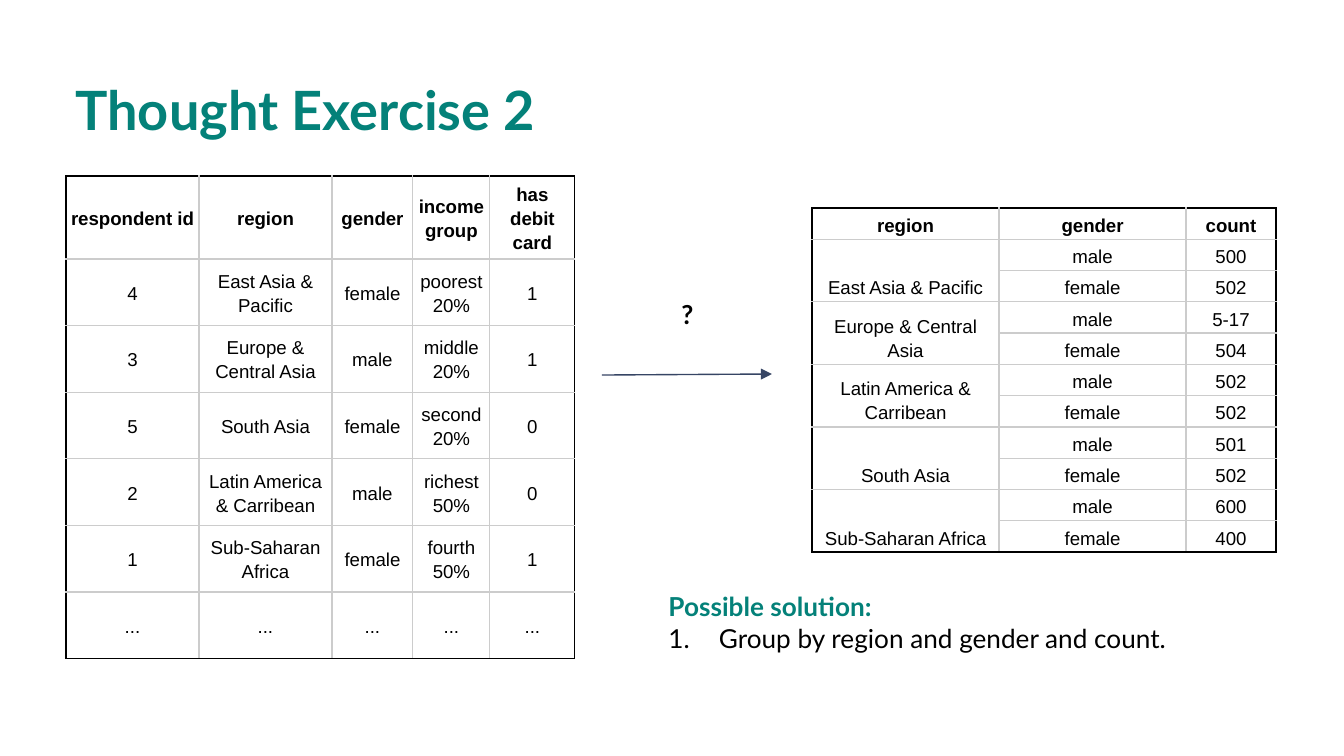
import pptx
import pptx.util
import pptx.dml.color
import pptx.enum.shapes
import pptx.enum.text
import pptx.oxml
import pptx.oxml.ns

RGB = pptx.dml.color.RGBColor
TEAL = RGB(0x04, 0x81, 0x79)
NAVY = RGB(0x36, 0x45, 0x64)
GRAY = RGB(0xCC, 0xCC, 0xCC)
BLACK = RGB(0, 0, 0)
WHITE = RGB(255, 255, 255)

ALIGN = pptx.enum.text.PP_ALIGN
ANCHOR = pptx.enum.text.MSO_ANCHOR
NS = pptx.oxml.ns.nsdecls("a")
SCALE = 6803.57  # EMU in one px
Pt = pptx.util.Pt

HEAD = {"name": "Lato", "size": Pt(29), "bold": True}
LABEL = {"name": "Lato", "size": Pt(14), "bold": True}
ITEM = {**LABEL, "bold": False}
CELL = {"name": "Arial", "size": Pt(10), "bold": False}
TOP = {**CELL, "bold": True}

PEOPLE = [
    ["respondent id", "region", "gender", "income group", "has debit card"],
    ["4", "East Asia & Pacific", "female", "poorest 20%", "1"],
    ["3", "Europe & Central Asia", "male", "middle 20%", "1"],
    ["5", "South Asia", "female", "second 20%", "0"],
    ["2", "Latin America & Carribean", "male", "richest 50%", "0"],
    ["1", "Sub-Saharan Africa", "female", "fourth 50%", "1"],
    ["..."] * 5,
]
COUNTS = {
    "East Asia & Pacific": ("500", "502"),
    "Europe & Central Asia": ("5-17", "504"),
    "Latin America & Carribean": ("502", "502"),
    "South Asia": ("501", "502"),
    "Sub-Saharan Africa": ("600", "400"),
}


def px(num):
    return pptx.util.Emu(round(num * SCALE))


def apply(obj, values):
    for key, value in values.items():
        setattr(obj, key, value)


def add_xml(parent, text):
    """Append a fragment of DrawingML; {} marks the namespace."""
    parent.append(pptx.oxml.parse_xml(text.replace("{}", NS)))


def write(para, text, font, color=BLACK, **form):
    run = para.add_run()
    run.text = text
    apply(run.font, font)
    run.font.color.rgb = color
    apply(para, form)


def set_box(shape, left, top, width, height):
    """Place a text shape and give it even margins."""
    apply(shape, {"left": px(left), "top": px(top),
                  "width": px(width), "height": px(height)})
    sides = ("left", "right", "top", "bottom")
    apply(shape.text_frame, {"margin_" + side: pptx.util.Inches(0.1) for side in sides})
    apply(shape.text_frame, {"word_wrap": True, "vertical_anchor": ANCHOR.TOP,
                             "auto_size": pptx.enum.text.MSO_AUTO_SIZE.NONE})
    return shape.text_frame


def set_edge(cell, row, col, rows, cols):
    """Black on the outside of the table, gray within."""
    outer = {"lnL": col == 0, "lnR": col == cols - 1,
             "lnT": row == 0, "lnB": row + cell.span_height >= rows}
    props = cell._tc.get_or_add_tcPr()
    for tag, edge in outer.items():
        color = BLACK if edge else GRAY
        add_xml(props, f'<a:{tag} {{}} w="9525"><a:solidFill><a:srgbClr val="{color}"/>'
                       f'</a:solidFill></a:{tag}>')


def add_grid(slide, left, top, widths, heights, data, anchor):
    """A None in the data joins the cell to the one above."""
    rows, cols = len(heights), len(widths)
    frame = slide.shapes.add_table(rows, cols, px(left), px(top),
                                   px(sum(widths)), px(sum(heights)))
    table = frame.table
    apply(table, {"first_row": False, "horz_banding": False})
    for col, width in zip(table.columns, widths):
        col.width = px(width)
    for row, height in zip(table.rows, heights):
        row.height = px(height)
    for r, line in enumerate(data):
        for c, text in enumerate(line):
            if text is None:
                table.cell(r - 1, c).merge(table.cell(r, c))
    for r, line in enumerate(data):
        for c, text in enumerate(line):
            cell = table.cell(r, c)
            apply(cell, {"margin_left": px(4), "margin_right": px(4), "margin_top": px(3),
                         "margin_bottom": px(3), "vertical_anchor": anchor})
            set_edge(cell, r, c, rows, cols)
            cell.fill.solid()
            cell.fill.fore_color.rgb = WHITE
            if text is not None:
                write(cell.text_frame.paragraphs[0], text, CELL if r else TOP,
                      alignment=ALIGN.CENTER, line_spacing=1.15)


def add_arrow(slide, x1, y1, x2, y2):
    kind = pptx.enum.shapes.MSO_CONNECTOR.STRAIGHT
    arrow = slide.shapes.add_connector(kind, px(x1), px(y1), px(x2), px(y2))
    arrow.line.color.rgb = NAVY
    arrow.line.width = Pt(0.75)
    props = arrow.element.spPr
    add_xml(props.find(pptx.oxml.ns.qn("a:ln")), '<a:tailEnd {} type="triangle"/>')
    add_xml(props, "<a:effectLst {}/>")


def set_list(frame, title, items):
    """A heading without a bullet, then a numbered list."""
    para = frame.paragraphs[0]
    write(para, title, LABEL, TEAL, space_before=Pt(0))
    props = para._p.get_or_add_pPr()
    apply(props, {"marL": 0, "indent": 0})
    add_xml(props, "<a:buNone {}/>")
    for item in items:
        para = frame.add_paragraph()
        write(para, item, ITEM, space_before=Pt(0))
        props = para._p.get_or_add_pPr()
        apply(props, {"marL": px(67), "indent": px(-47)})
        add_xml(props, f'<a:buClr {{}}><a:srgbClr val="{BLACK}"/></a:buClr>')
        add_xml(props, '<a:buFont {} typeface="Lato"/>')
        add_xml(props, '<a:buAutoNum {} type="arabicPeriod"/>')


def main():
    deck = pptx.Presentation()
    apply(deck, {"slide_width": px(1344), "slide_height": px(756)})
    slide = deck.slides.add_slide(deck.slide_layouts[1])

    # Title
    frame = set_box(slide.shapes.title, 62, 63, 832, 93)
    write(frame.paragraphs[0], "Thought Exercise 2", HEAD, TEAL, alignment=ALIGN.LEFT)

    # Arrow and question mark between the tables
    add_arrow(slide, 602, 375, 772, 374)
    frame = set_box(slide.shapes.add_textbox(0, 0, 0, 0), 655, 285, 65, 59)
    write(frame.paragraphs[0], "?", LABEL, alignment=ALIGN.CENTER)

    # Summary table
    data = [["region", "gender", "count"]]
    for region, (male, female) in COUNTS.items():
        data += [[region, "male", male], [None, "female", female]]
    add_grid(slide, 812, 208, [187, 187, 90], [344 / 11] * 11, data, ANCHOR.BOTTOM)

    # Respondent table
    add_grid(slide, 66, 176, [133, 133, 81, 77, 85], [83] + [400 / 6] * 6,
             PEOPLE, ANCHOR.MIDDLE)

    # Solution
    frame = set_box(slide.placeholders[1], 655, 577, 556, 122)
    set_list(frame, "Possible solution:", ["Group by region and gender and count."])

    deck.save("out.pptx")


if __name__ == "__main__":
    main()
